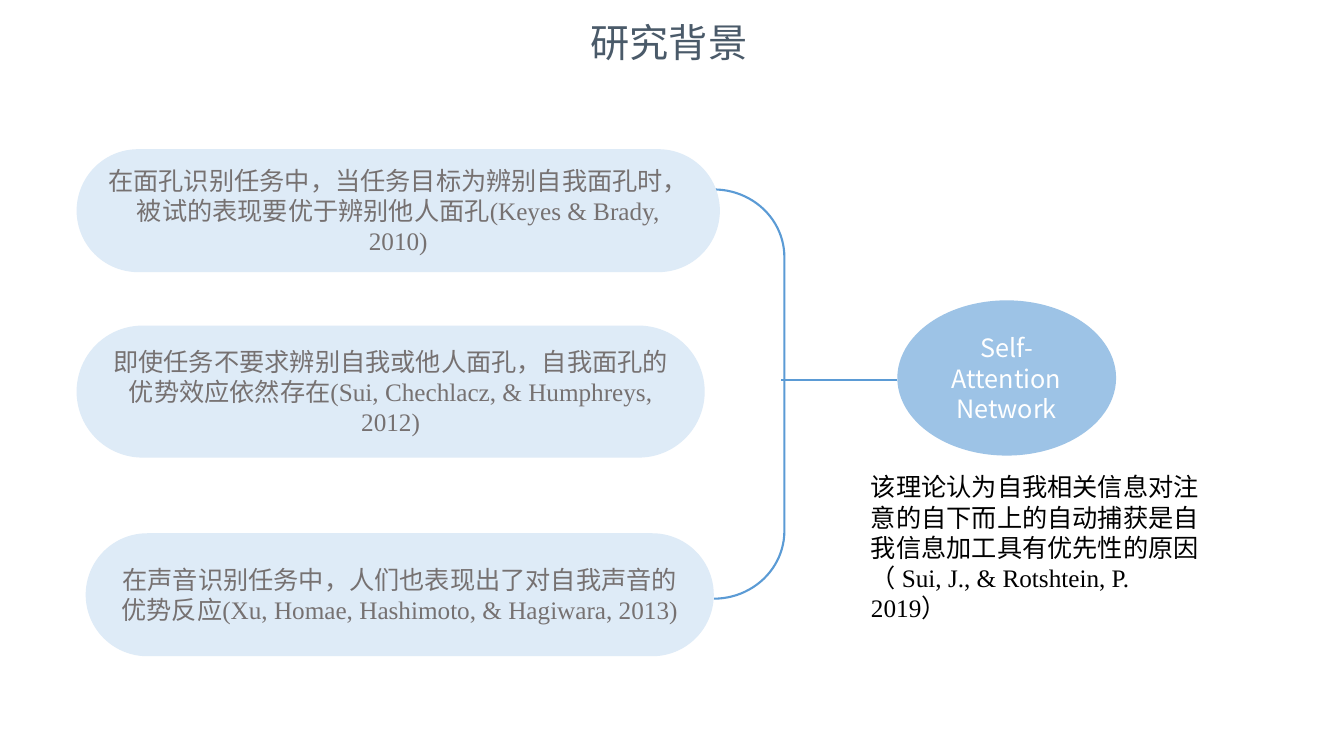
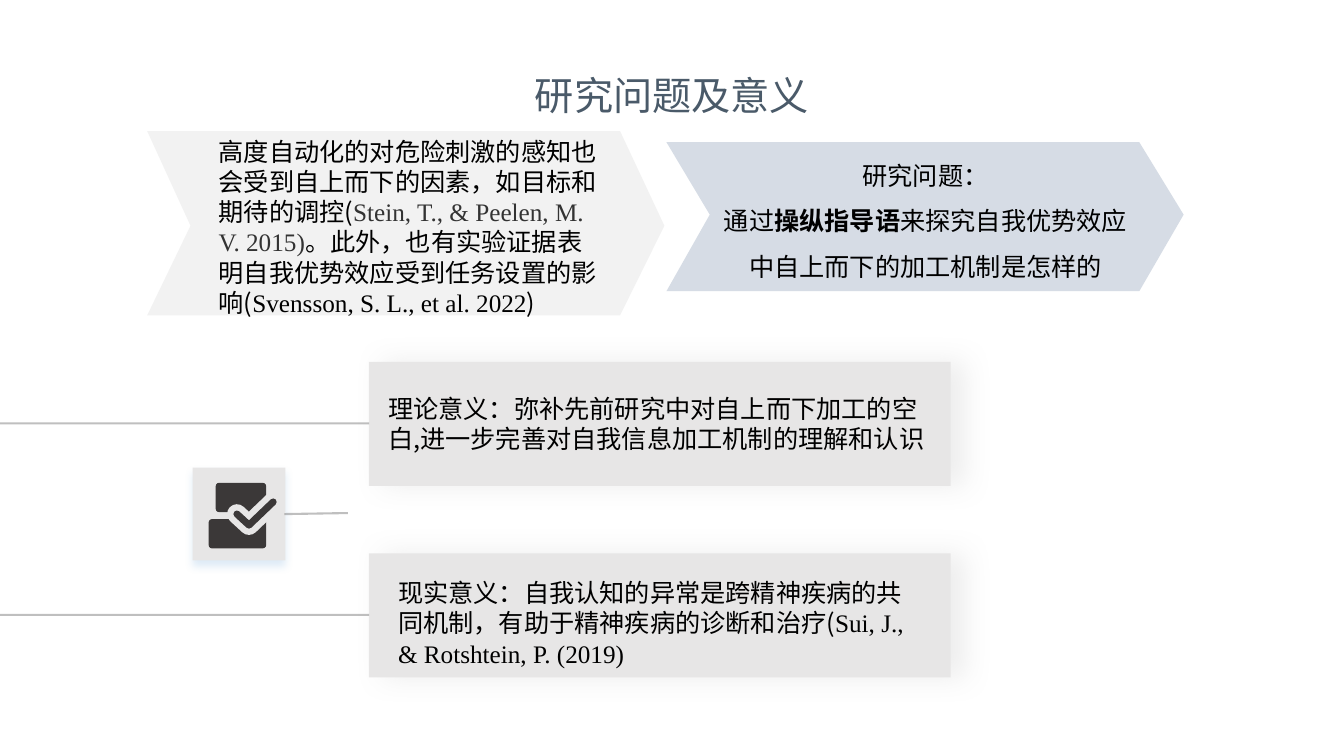
from lxml.etree import SubElement as Sub
from pptx import Presentation
from pptx.dml.color import RGBColor
from pptx.enum.shapes import MSO_CONNECTOR as Conn, MSO_SHAPE as Kind
from pptx.enum.text import MSO_ANCHOR as Anchor, PP_ALIGN as Align
from pptx.oxml.ns import qn
from pptx.util import Inches, Pt

BLACK = RGBColor(0, 0, 0)
WHITE = RGBColor(255, 255, 255)
SLATE = RGBColor(0x4A, 0x5A, 0x69)
TAUPE = RGBColor(0x76, 0x71, 0x71)
PALE = RGBColor(0xDE, 0xEB, 0xF7)
SKY = RGBColor(0x9D, 0xC3, 0xE6)
BLUE = RGBColor(0x5B, 0x9B, 0xD5)
GRAY = RGBColor(0x80, 0x80, 0x80)
SHADE = RGBColor(0xA6, 0xA6, 0xA6)
PANEL = RGBColor(0xE7, 0xE6, 0xE6)
MIST = RGBColor(0xF2, 0xF2, 0xF2)
STEEL = RGBColor(0xD6, 0xDC, 0xE5)
DARK = RGBColor(0x3B, 0x38, 0x38)
INK = RGBColor(0x33, 0x33, 0x33)
SANS = "Noto Sans CJK SC"
SERIF = "Times New Roman"


class Deck:
    base = {"name": SANS, "size": Pt(18), "bold": False}

    def __init__(self):
        self.prs = Presentation()
        self.prs.slide_width = Inches(13.33)
        self.prs.slide_height = Inches(7.5)

    def page(self, title, left, top, width):
        self.slide = self.prs.slides.add_slide(self.prs.slide_layouts[6])
        self.text((left, top, width, 0.57), [[(title, {"size": Pt(28)})]],
                  SLATE, wrap=False, align=Align.CENTER)

    def words(self, shape, paras, color, align=Align.LEFT, gap=1.0, **frame):
        body = shape.text_frame
        for key, val in frame.items():
            setattr(body, key, val)
        for i, runs in enumerate(paras):
            para = body.paragraphs[0] if i == 0 else body.add_paragraph()
            para.alignment = align
            para.line_spacing = gap
            for words, style in runs:
                run = para.add_run()
                run.text = words
                look = {**self.base, **style}
                run.font.color.rgb = look.pop("color", color)
                for key, val in look.items():
                    setattr(run.font, key, val)
                props = next(run._r.iter(qn("a:rPr")))
                Sub(props, qn("a:ea"), typeface=SANS)

    def text(self, box, paras, color=BLACK, wrap=True, **style):
        shape = self.slide.shapes.add_textbox(*map(Inches, box))
        self.words(shape, paras, color, word_wrap=wrap, **style)

    def paint(self, shape, fill, line=None, width=1.5):
        shape.shadow.inherit = False
        if fill is None:
            shape.fill.background()
        else:
            shape.fill.solid()
            shape.fill.fore_color.rgb = fill
        if line is None:
            shape.line.fill.background()
        else:
            shape.line.color.rgb = line
            shape.line.width = Pt(width)
        return shape

    def shape(self, kind, box, fill, line=None, adj=None):
        shape = self.slide.shapes.add_shape(kind, *map(Inches, box))
        if adj is not None:
            shape.adjustments[0] = adj
        return self.paint(shape, fill, line)

    def label(self, kind, box, fill, paras, color, adj=None):
        shape = self.shape(kind, box, fill, adj=adj)
        self.words(shape, paras, color, align=Align.CENTER,
                   word_wrap=True, vertical_anchor=Anchor.MIDDLE)

    def panel(self, box, color, blur, dist, angle):
        shape = self.shape(Kind.RECTANGLE, box, PANEL)
        glow = Sub(shape.element.spPr.find(qn("a:effectLst")), qn("a:outerShdw"),
                   blurRad=str(Pt(blur)), dist=str(Pt(dist)),
                   dir=str(angle * 60000), algn="ctr", rotWithShape="0")
        tint = Sub(glow, qn("a:srgbClr"), val=str(color))
        Sub(tint, qn("a:alpha"), val="20000")

    def free(self, spots, fill, close=True, **line):
        spots = [(Inches(x), Inches(y)) for x, y in spots]
        form = self.slide.shapes.build_freeform(*spots[0])
        form.add_line_segments(spots[1:], close=close)
        return self.paint(form.convert_to_shape(), fill, **line)

    def arrow(self, left, top, high, notch, fill):
        mid, base = top + notch, top + high
        self.free([(left, top), (left + 4.69, top), (left + 5.13, mid),
                   (left + 4.69, base), (left, base), (left + 0.43, mid)], fill)

    def tick(self, spots, color, width):
        shape = self.free(spots, None, close=False, line=color, width=width)
        edge = shape.element.spPr.find(qn("a:ln"))
        edge.set("cap", "rnd")
        Sub(edge, qn("a:round"))

    def line(self, start, end, color, alpha=None):
        spots = map(Inches, (*start, *end))
        link = self.slide.shapes.add_connector(Conn.STRAIGHT, *spots)
        link.line.color.rgb = color
        link.line.width = Pt(1.5)
        props = link.element.spPr
        if alpha:
            tint = next(props.iter(qn("a:srgbClr")))
            Sub(tint, qn("a:alpha"), val=str(alpha * 1000))
        Sub(props, qn("a:effectLst"))


serif = {"name": SERIF}
deck = Deck()

deck.page("研究背景", 5.75, 0.13, 1.77)
deck.shape(Kind.RIGHT_BRACKET, (7.08, 1.88, 0.7, 4.06), None, BLUE, 0.96)
deck.line((8.9, 3.77), (7.75, 3.77), BLUE)
for box, words in (
    ((0.76, 1.48, 6.38, 1.22),
     "在面孔识别任务中，当任务目标为辨别自我面孔时，被试的表现要优于辨别他人面孔(Keyes & Brady, 2010)"),
    ((0.76, 3.23, 6.23, 1.31),
     "即使任务不要求辨别自我或他人面孔，自我面孔的优势效应依然存在(Sui, Chechlacz, & Humphreys, 2012)"),
    ((0.85, 5.29, 6.23, 1.22),
     "在声音识别任务中，人们也表现出了对自我声音的优势反应(Xu, Homae, Hashimoto, & Hagiwara, 2013)"),
):
    deck.label(Kind.ROUNDED_RECTANGLE, box, PALE, [[(words, serif)]], TAUPE, 0.5)
deck.label(Kind.OVAL, (8.9, 2.98, 2.17, 1.54), SKY,
           [[("Self-Attention", {})], [("Network", {})]], WHITE)
deck.text((8.54, 4.63, 3.52, 1.31), [[
    ("该理论认为自我相关信息对注意的自下而上的自动捕获是自我信息加工具有优先性的原因（", {}),
    (" Sui, J., & Rotshtein, P. 2019", serif),
    ("）", {}),
]])

deck.page("研究问题及意义", 5.19, 0.66, 2.95)
deck.panel((1.91, 4.64, 0.92, 0.92), BLUE, 6, 4, 90)
for top in (3.59, 5.49):
    deck.panel((3.66, top, 5.77, 1.23), SHADE, 20, 10, 0)
    deck.line((0, top + 0.61), (3.66, top + 0.61), GRAY, 50)
deck.line((2.82, 5.1), (3.45, 5.09), GRAY, 50)
deck.text((3.75, 3.85, 5.61, 0.71), [[
    ("理论意义：弥补先前研究中对自上而下加工的空白,进一步完善对自我信息加工机制的理解和认识", {}),
]])
deck.text((3.85, 5.68, 5.33, 1.01), [[
    ("现实意义：自我认知的异常是跨精神疾病的共同机制，有助于精神疾病的诊断和治疗(", {}),
    ("Sui, J., & Rotshtein, P. (2019)", serif),
]])

for block in ((2.14, 4.79, 0.5, 0.29), (2.07, 5.15, 0.57, 0.29)):
    deck.shape(Kind.ROUNDED_RECTANGLE, block, DARK, adj=0.11)
check = [(2.35, 5.1), (2.47, 5.21), (2.71, 4.98)]
for color, width in ((PANEL, 14), (DARK, 5)):
    deck.tick(check, color, width)

deck.arrow(1.46, 1.3, 1.83, 0.94, MIST)
deck.arrow(6.61, 1.41, 1.48, 0.72, STEEL)
deck.text((7.01, 1.39, 4.34, 1.5), [
    [("研究问题：", {})],
    [("通过", {}), ("操纵指导语", {"bold": True}),
     ("来探究自我优势效应中自上而下的加工机制是怎样的", {})],
], align=Align.CENTER, gap=1.5)
deck.text((2.07, 1.3, 4.05, 1.92), [[
    ("高度自动化的对危险刺激的感知也会受到自上而下的因素，如目标和期待的调控(", {}),
    ("Stein, T., & Peelen, M. V. 2015)", {"name": SERIF, "color": INK}),
    ("。此外，也有实验证据表明自我优势效应受到任务设置的影响(", {}),
    ("Svensson, S. L., et al. 2022", serif),
    (")", {}),
]])

deck.prs.save("out.pptx")
